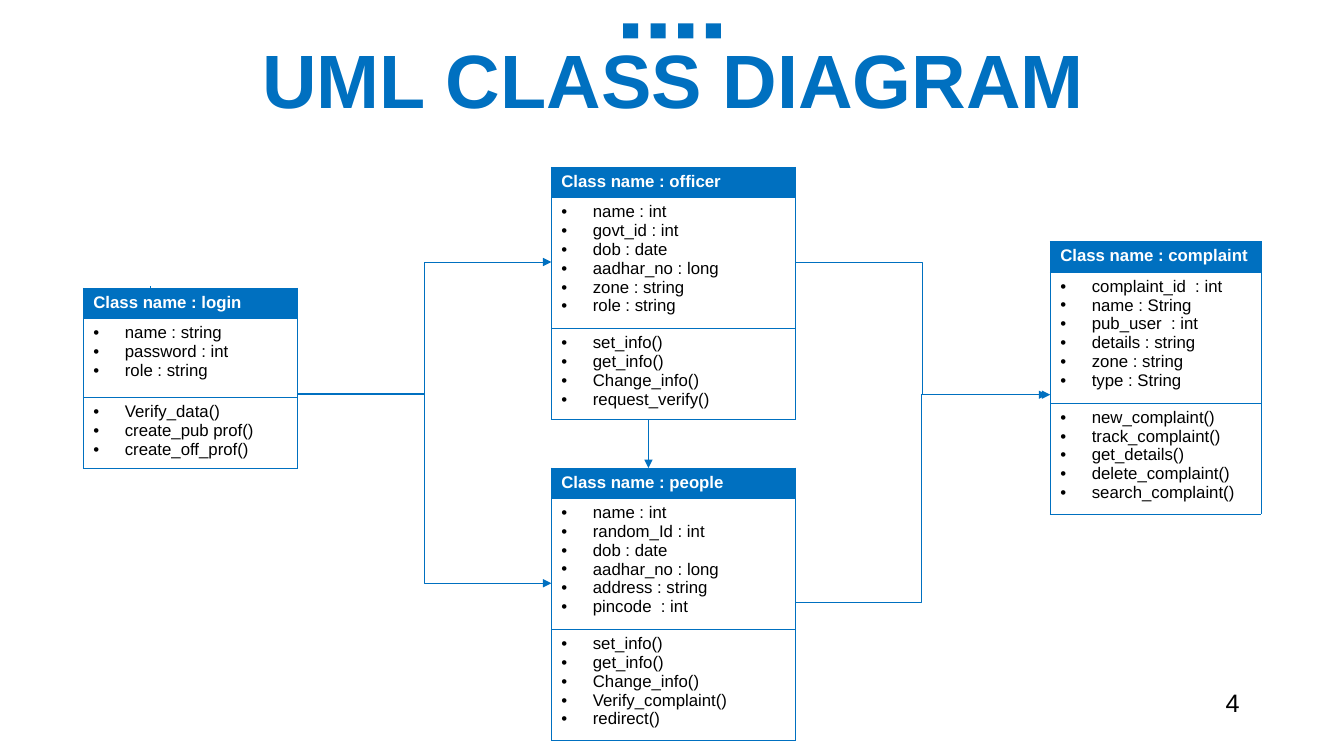
from lxml.etree import SubElement
from pptx import Presentation
from pptx.dml.color import RGBColor
from pptx.enum.shapes import MSO_CONNECTOR as Connector, MSO_SHAPE as Shape
from pptx.enum.text import MSO_ANCHOR as Anchor, PP_ALIGN as Align
from pptx.oxml.ns import qn
from pptx.util import Pt

BLUE, BLACK, WHITE = "0070C0", "000000", "FFFFFF"
HEADER_HEIGHT, LINE_HEIGHT, CELL_PADDING = 21.4, 13.4, 7.2

CLASSES = [
    ("people", 393.8, 334.3, 174.2, 0,
     ["name : int", "random_Id : int", "dob : date", "aadhar_no : long",
      "address : string", "pincode  : int"],
     ["set_info()", "get_info()", "Change_info()", "Verify_complaint()", "redirect()"]),
    ("login", 59.5, 205.9, 152.9, 56.4,
     ["name : string", "password : int", "role : string"],
     ["Verify_data()", "create_pub prof()", "create_off_prof()"]),
    ("officer", 393.8, 119.5, 174.2, 0,
     ["name : int", "govt_id : int", "dob : date", "aadhar_no : long",
      "zone : string", "role : string"],
     ["set_info()", "get_info()", "Change_info()", "request_verify()"]),
    ("complaint", 750.2, 172.6, 150.5, 0,
     ["complaint_id  : int", "name : String", "pub_user  : int",
      "details : string", "zone : string", "type : String"],
     ["new_complaint()", "track_complaint()", "get_details()",
      "delete_complaint()", "search_complaint()"]),
]

RELATIONS = [
    (Connector.STRAIGHT, (107.3, 205.9), (107.3, 204.5), False),
    (Connector.ELBOW, (212.4, 282), (393.8, 187.2), True),
    (Connector.ELBOW, (212.4, 281.2), (393.8, 416.6), True),
    (Connector.STRAIGHT, (463.2, 299.8), (463.2, 334.3), True),
    (Connector.ELBOW, (568, 187.2), (750.2, 282), True),
    (Connector.ELBOW, (568, 430.6), (748, 282), True),
]


def rgb(color):
    """Turn a hex string into a colour."""
    return RGBColor.from_string(color)


def write(frame, *lines, size=12, color=BLACK, bold=False, align=Align.LEFT,
          spacing=None, bullet=False):
    """Fill a text frame with one paragraph per line."""
    for index, line in enumerate(lines):
        paragraph = frame.add_paragraph() if index else frame.paragraphs[0]
        paragraph.alignment = align
        paragraph.line_spacing = spacing
        if bullet:
            add_bullet(paragraph)
        run = paragraph.add_run()
        run.text = line
        run.font.name = "Arial"
        run.font.size = Pt(size)
        run.font.bold = bold
        run.font.color.rgb = rgb(color)


def add_bullet(paragraph):
    """Give a paragraph a round bullet and a hanging indent."""
    properties = paragraph._p.get_or_add_pPr()
    properties.set("marL", str(Pt(22.5)))
    properties.set("indent", str(Pt(-22.5)))
    SubElement(properties, qn("a:buFont"), typeface="Arial")
    SubElement(properties, qn("a:buChar"), char="•")


def add_text(slide, left, top, width, height, text, anchor=Anchor.TOP, **text_format):
    """Place a wrapping text box."""
    box = slide.shapes.add_textbox(Pt(left), Pt(top), Pt(width), Pt(height))
    box.text_frame.word_wrap = True
    box.text_frame.vertical_anchor = anchor
    write(box.text_frame, text, **text_format)


def add_square(slide, left, top, side):
    """Draw one plain blue square."""
    square = slide.shapes.add_shape(Shape.RECTANGLE, Pt(left), Pt(top), Pt(side), Pt(side))
    square.shadow.inherit = False
    square.fill.solid()
    square.fill.fore_color.rgb = rgb(BLUE)
    square.line.fill.background()


def add_borders(cell):
    """Outline a cell with thin blue lines."""
    properties = cell._tc.get_or_add_tcPr()
    for side in ("lnL", "lnR", "lnT", "lnB"):
        border = SubElement(properties, qn(f"a:{side}"), w=str(Pt(0.5)))
        fill = SubElement(border, qn("a:solidFill"))
        SubElement(fill, qn("a:srgbClr"), val=BLUE)


def add_class(slide, name, left, top, width, min_height, attributes, methods):
    """Draw a class as a table of name, attributes and methods."""
    heights = [HEADER_HEIGHT,
               max(min_height, LINE_HEIGHT * len(attributes) + CELL_PADDING),
               LINE_HEIGHT * len(methods) + CELL_PADDING]
    table = slide.shapes.add_table(
        3, 1, Pt(left), Pt(top), Pt(width), Pt(sum(heights))).table
    table.horz_banding = False
    for row, height in zip(table.rows, heights):
        row.height = Pt(height)
        add_borders(row.cells[0])
    header, attribute_cell, method_cell = (row.cells[0] for row in table.rows)
    header.fill.solid()
    header.fill.fore_color.rgb = rgb(BLUE)
    write(header.text_frame, f"Class name : {name}", color=WHITE, bold=True)
    for cell, members in ((attribute_cell, attributes), (method_cell, methods)):
        cell.fill.background()
        write(cell.text_frame, *members, bullet=True)


def add_relation(slide, kind, start, end, arrow):
    """Link two points with a thin line, with an arrowhead if asked."""
    relation = slide.shapes.add_connector(kind, *map(Pt, start + end))
    relation.line.color.rgb = rgb(BLUE)
    relation.line.width = Pt(0.5)
    properties = relation.element.spPr
    if arrow:
        SubElement(properties.find(qn("a:ln")), qn("a:tailEnd"), type="triangle")
    SubElement(properties, qn("a:effectLst"))


def main():
    """Build and save the class diagram slide."""
    deck = Presentation()
    deck.slide_width, deck.slide_height = Pt(960), Pt(540)
    slide = deck.slides.add_slide(deck.slide_layouts[6])
    for index in range(4):
        add_square(slide, 445 + 19.7 * index, 16.6, 10.8)
    add_text(slide, 25.2, 31.7, 911.5, 56.9, "UML CLASS DIAGRAM", anchor=Anchor.MIDDLE,
             size=54, color=BLUE, bold=True, align=Align.CENTER, spacing=0.9)
    for details in CLASSES:
        add_class(slide, *details)
    for relation in RELATIONS:
        add_relation(slide, *relation)
    add_text(slide, 868.3, 487.4, 75.6, 28.8, "4", size=18)
    deck.save("out.pptx")


if __name__ == "__main__":
    main()
